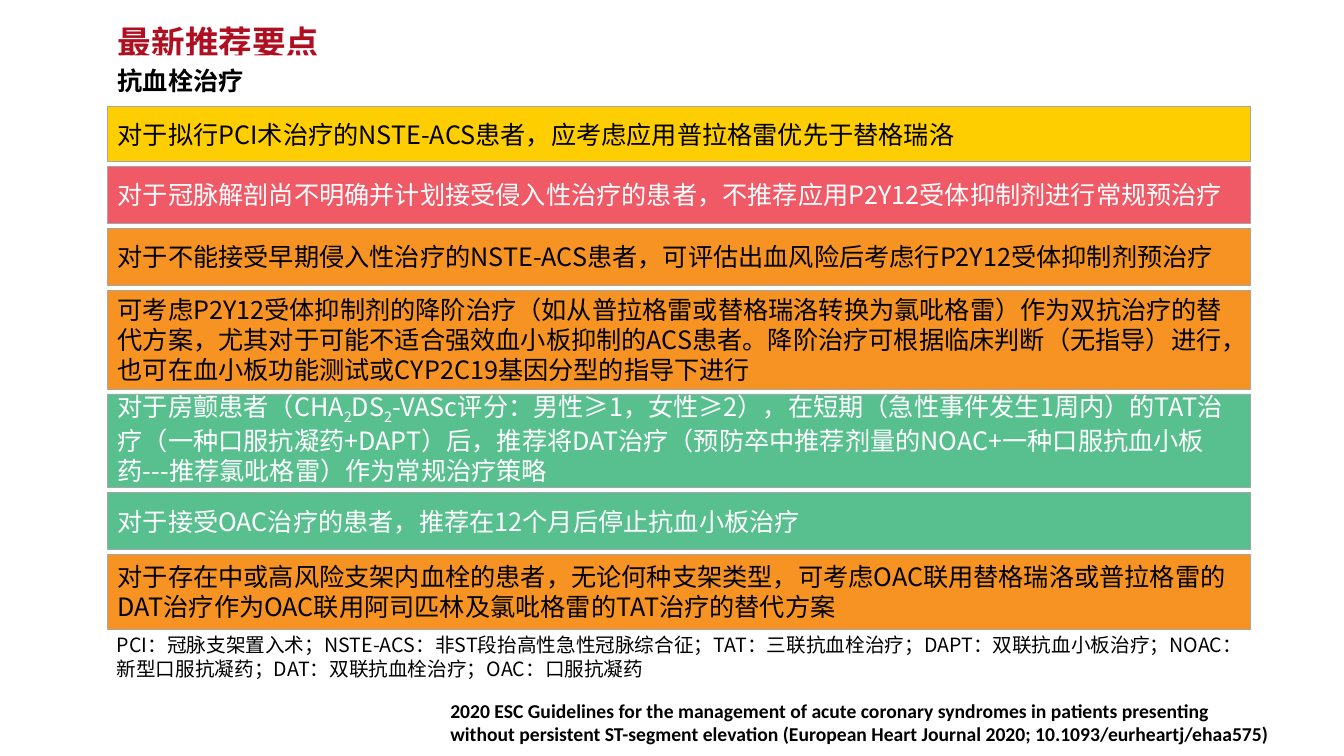
from dataclasses import dataclass

from pptx import Presentation
from pptx import util as u
from pptx.dml.color import RGBColor
from pptx.enum import shapes, text
from pptx.oxml import parse_xml
from pptx.oxml.ns import nsdecls


@dataclass(frozen=True)
class Theme:
    black: str = "000000"
    white: str = "FFFFFF"
    red: str = "AE1022"
    rose: str = "F05A66"
    gold: str = "FECE00"
    orange: str = "F79323"
    green: str = "58C08F"
    edge: str = "A5A5A5"
    han: str = "Noto Sans CJK SC"
    latin: str = "Calibri"
    head: float = 24
    main: float = 18
    small: float = 14


THEME = Theme()
LEFT, WIDTH, TOP, GAP = 77, 816.5, 76.3, 3.4

# Fill, text colour, height and wording; text between underscores is subscript.
ADVICE = [
    (THEME.gold, THEME.black, 38.9,
     "对于拟行PCI术治疗的NSTE-ACS患者，应考虑应用普拉格雷优先于替格瑞洛"),
    (THEME.rose, THEME.white, 41,
     "对于冠脉解剖尚不明确并计划接受侵入性治疗的患者，不推荐应用P2Y12受体抑制剂进行常规预治疗"),
    (THEME.orange, THEME.black, 41,
     "对于不能接受早期侵入性治疗的NSTE-ACS患者，可评估出血风险后考虑行P2Y12受体抑制剂预治疗"),
    (THEME.orange, THEME.black, 70.6,
     "可考虑P2Y12受体抑制剂的降阶治疗（如从普拉格雷或替格瑞洛转换为氯吡格雷）作为双抗治疗的替代方案，"
     "尤其对于可能不适合强效血小板抑制的ACS患者。降阶治疗可根据临床判断（无指导）进行，"
     "也可在血小板功能测试或CYP2C19基因分型的指导下进行"),
    (THEME.green, THEME.white, 67,
     "对于房颤患者（CHA_2_DS_2_-VASc评分：男性≥1，女性≥2），在短期（急性事件发生1周内）的"
     "TAT治疗（一种口服抗凝药+DAPT）后，推荐将DAT治疗（预防卒中推荐剂量的NOAC+"
     "一种口服抗血小板药---推荐氯吡格雷）作为常规治疗策略"),
    (THEME.green, THEME.white, 41,
     "对于接受OAC治疗的患者，推荐在12个月后停止抗血小板治疗"),
    (THEME.orange, THEME.black, 53.3,
     "对于存在中或高风险支架内血栓的患者，无论何种支架类型，可考虑OAC联用替格瑞洛或普拉格雷的"
     "DAT治疗作为OAC联用阿司匹林及氯吡格雷的TAT治疗的替代方案"),
]
TERMS = ("PCI：冠脉支架置入术；NSTE-ACS：非ST段抬高性急性冠脉综合征；TAT：三联抗血栓治疗；"
         "DAPT：双联抗血小板治疗；NOAC：新型口服抗凝药；DAT：双联抗血栓治疗；OAC：口服抗凝药")
SOURCE = ("2020 ESC Guidelines for the management of acute coronary syndromes in patients "
          "presenting without persistent ST-segment elevation "
          "(European Heart Journal 2020; 10.1093/eurheartj/ehaa575)")


def write(frame, words, size=THEME.main, color=THEME.black, bold=False,
          face=THEME.han, pitch=None, anchor=text.MSO_ANCHOR.MIDDLE):
    """Fill a frame with one paragraph; pitch is the line height in points."""
    frame.word_wrap = True
    frame.auto_size = text.MSO_AUTO_SIZE.NONE
    frame.vertical_anchor = anchor
    para = frame.paragraphs[0]
    para.alignment = text.PP_ALIGN.LEFT
    if pitch:
        para.line_spacing = u.Pt(pitch)
    for index, part in enumerate(words.split("_")):
        run = para.add_run()
        run.text = part
        font = run.font
        font.size, font.bold, font.name = u.Pt(size), bold, face
        font.color.rgb = RGBColor.from_string(color)
        props = run._r.get_or_add_rPr()
        latin = props.find("{*}latin")
        latin.addnext(parse_xml(f'<a:ea {nsdecls("a")} typeface="{face}"/>'))
        if index % 2:
            props.set("baseline", "-25000")


class Deck:
    def __init__(self, theme):
        self.theme = theme
        self.show = Presentation()
        self.show.slide_width, self.show.slide_height = u.Pt(960), u.Pt(540)
        self.slide = self.show.slides.add_slide(self.show.slide_layouts[5])

    def title(self, words, *box, **style):
        shape = self.slide.shapes.title
        shape.left, shape.top, shape.width, shape.height = map(u.Pt, box)
        write(shape.text_frame, words, **style)

    def panel(self, words, *box, fill, line=None, **style):
        shape = self.slide.shapes.add_shape(
            shapes.MSO_SHAPE.RECTANGLE, *map(u.Pt, box))
        shape.shadow.inherit = False
        shape.fill.solid()
        shape.fill.fore_color.rgb = RGBColor.from_string(fill)
        if line:
            shape.line.color.rgb = RGBColor.from_string(line)
            shape.line.width = u.Pt(0.5)
        else:
            shape.line.fill.background()
        write(shape.text_frame, words, **style)

    def note(self, words, *box, **style):
        shape = self.slide.shapes.add_textbox(*map(u.Pt, box))
        write(shape.text_frame, words, **style)


def main():
    deck = Deck(THEME)
    deck.title("最新推荐要点", LEFT, 9.4, 582.5, 36, size=THEME.head,
               color=THEME.red, bold=True, pitch=31.6,
               anchor=text.MSO_ANCHOR.TOP)
    deck.panel("抗血栓治疗", LEFT, 39.6, 736.6, 36, fill=THEME.white, bold=True)
    top = TOP
    for fill, color, height, words in ADVICE:
        deck.panel(words, LEFT, top, WIDTH, height, fill=fill,
                   line=THEME.edge, color=color, pitch=21.5)
        top += height + GAP
    deck.panel(SOURCE, 314.6, 497.5, 602.6, 36.7, fill=THEME.white,
               size=THEME.small, bold=True, face=THEME.latin)
    deck.note(TERMS, 76.3, 454.3, 829.4, 29.5, size=THEME.small, pitch=16.6)
    deck.show.save("out.pptx")


if __name__ == "__main__":
    main()
